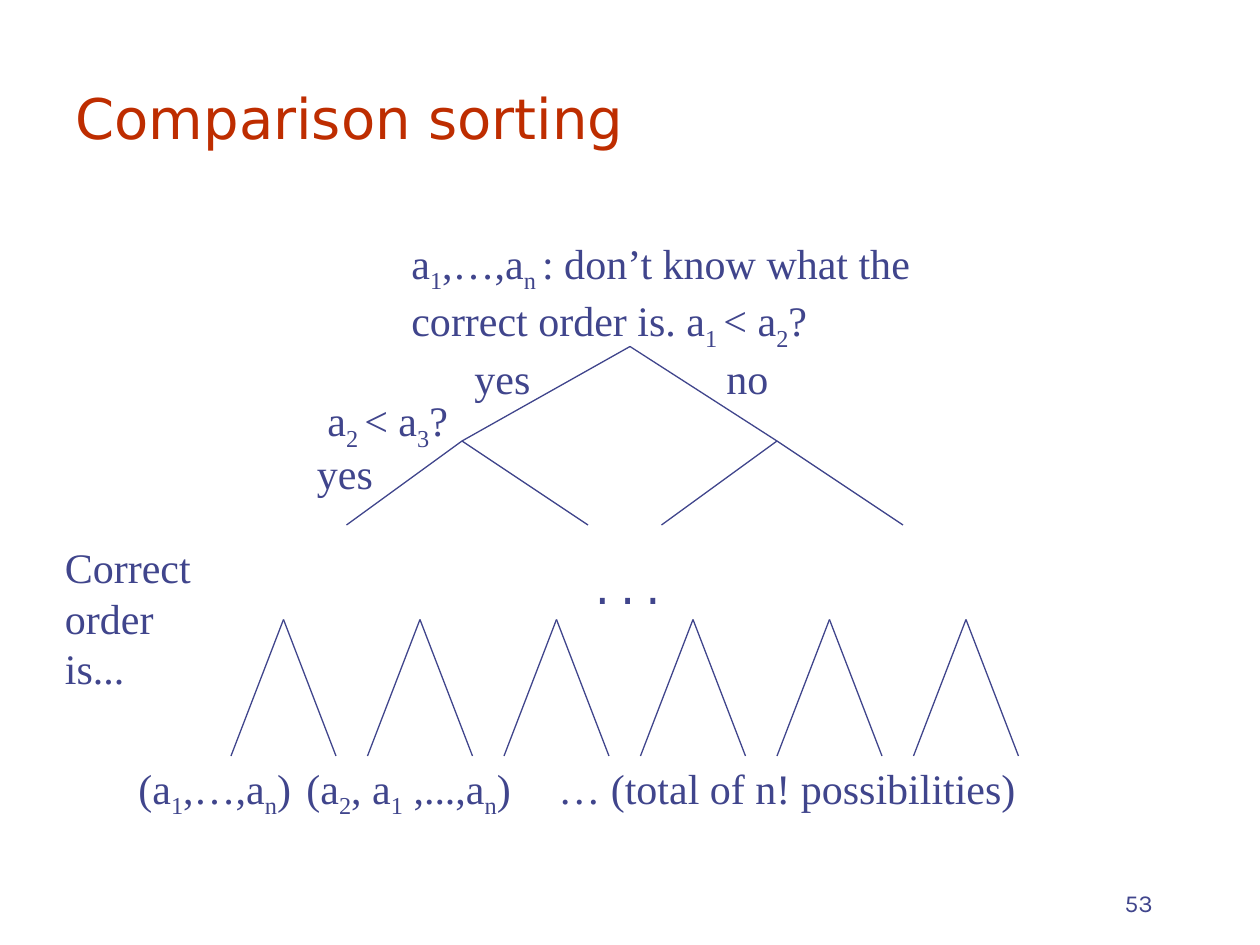
from lxml import etree
from pptx import Presentation
from pptx.dml.color import RGBColor
from pptx.enum.shapes import MSO_CONNECTOR
from pptx.enum.text import MSO_ANCHOR, MSO_AUTO_SIZE, PP_ALIGN
from pptx.oxml.ns import qn
from pptx.util import Pt

STRAIGHT = MSO_CONNECTOR.STRAIGHT
BOTTOM = MSO_ANCHOR.BOTTOM
LEFT, RIGHT = PP_ALIGN.LEFT, PP_ALIGN.RIGHT
NO_FIT, GROW = MSO_AUTO_SIZE.NONE, MSO_AUTO_SIZE.SHAPE_TO_FIT_TEXT
BLUE = RGBColor(0x40, 0x45, 0x8C)
RED = RGBColor(0xBE, 0x2D, 0x00)

TITLE = "Comparison sorting"
TITLE_FONT = {"name": "DejaVu Sans", "size": Pt(32)}
BODY_FONT = {"name": "Times New Roman", "size": Pt(24)}
DOTS_FONT = {"name": "Courier New", "size": Pt(24)}
NUMBER_FONT = {"name": "Karla", "size": Pt(14)}

# Text parts alternate between normal and subscript.
LABELS = [
    ((228, 132, 300, 65), ["a", "1", ",…,a", "n ", ": don’t know what the correct order is. a",
                           "1 ", "< a", "2", "?"]),
    ((264, 198, 48, 36), ["yes"]),
    ((408, 198, 48, 36), ["no"]),
    ((180, 222, 96, 36), ["a", "2 ", "< a", "3", "?"]),
    ((174, 252, 48, 36), ["yes"]),
    ((30, 306, 96, 94), ["Correct order is..."]),
    ((72, 432, 126, 36), ["(a", "1", ",…,a", "n", ")"]),
    ((168, 432, 138, 36), ["(a", "2", ", a", "1", " ,...,a", "n", ")"]),
    ((312, 432, 294, 36), ["… (total of n! possibilities)"]),
]
DOTS = ((330, 318, 162, 36), ["..."])
NUMBER = ((516, 492, 150, 36), ["53"])

FORKS = [
    ((360, 198), (264, 444), 252),
    ((264, 252), (198, 336), 300),
    ((444, 252), (378, 516), 300),
]
LEAF_COUNT, LEAF_LEFT, LEAF_STEP = 6, 162, 78
LEAF_TOP, LEAF_BOTTOM, LEAF_SPREAD = 354, 432, 30


def style(font, fmt, color):
    for key, value in fmt.items():
        setattr(font, key, value)
    font.color.rgb = color


def add_text(s, box, parts, fmt):
    tf = s.shapes.add_textbox(*map(Pt, box)).text_frame
    tf.word_wrap = True
    tf.auto_size = GROW
    p = tf.paragraphs[0]
    for i, part in enumerate(parts):
        r = p.add_run()
        r.text = part
        style(r.font, fmt, BLUE)
        if i % 2:
            r._r.get_or_add_rPr().set("baseline", "-25000")
    return tf


def add_fork(s, apex, ends, bottom):
    for x in ends:
        line = s.shapes.add_connector(STRAIGHT, *map(Pt, (*apex, x, bottom)))
        line.line.color.rgb = BLUE
        line.line.width = Pt(0.75)
        etree.SubElement(line._element.spPr, qn("a:effectLst"))


prs = Presentation()
prs.slide_width, prs.slide_height = Pt(720), Pt(540)
s = prs.slides.add_slide(prs.slide_layouts[5])

title = s.shapes.title
title.left, title.top, title.width, title.height = map(Pt, (36, 24, 624, 66))
tf = title.text_frame
tf.text = TITLE
tf.auto_size = NO_FIT
tf.vertical_anchor = BOTTOM
p = tf.paragraphs[0]
p.alignment = LEFT
style(p.runs[0].font, TITLE_FONT, RED)

leaves = [LEAF_LEFT + i * LEAF_STEP for i in range(LEAF_COUNT)]
for apex, ends, bottom in FORKS:
    add_fork(s, apex, ends, bottom)
for x in leaves:
    add_fork(s, (x, LEAF_TOP), (x - LEAF_SPREAD, x + LEAF_SPREAD), LEAF_BOTTOM)

for box, parts in LABELS:
    add_text(s, box, parts, BODY_FONT)
add_text(s, *DOTS, DOTS_FONT)
tf = add_text(s, *NUMBER, NUMBER_FONT)
tf.auto_size = NO_FIT
tf.vertical_anchor = BOTTOM
tf.paragraphs[0].alignment = RIGHT

prs.save("out.pptx")
